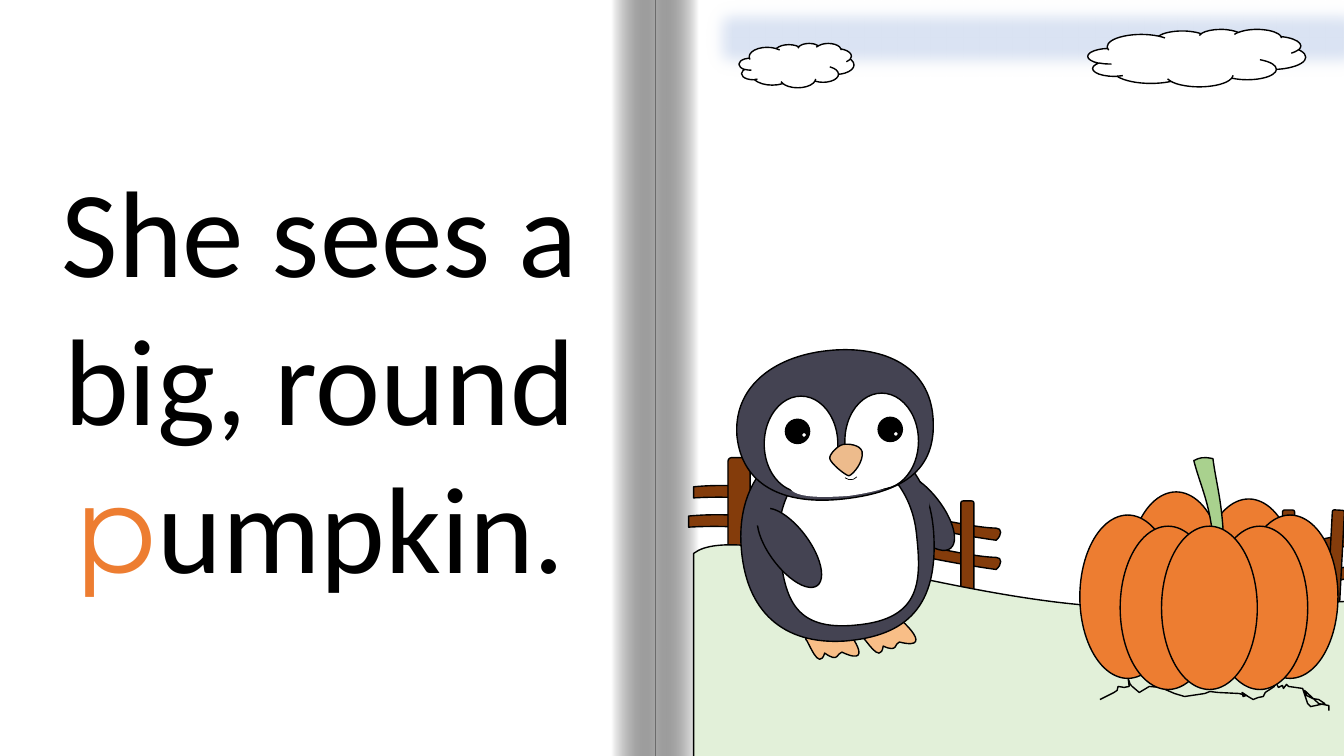
from lxml.etree import SubElement
from pptx import Presentation
from pptx.dml.color import RGBColor
from pptx.enum.shapes import MSO_SHAPE
from pptx.enum.text import MSO_ANCHOR, MSO_AUTO_SIZE, PP_ALIGN
from pptx.oxml.ns import qn
from pptx.util import Inches, Pt

BLACK, WHITE, SKY = "000000", "FFFFFF", "DAE3F3"
WOOD, GRASS, ORANGE, STEM = "843C0B", "E2F0D9", "ED7D31", "A9D18E"
FEATHER, FOOT, BEAK = "444352", "F8BE87", "EDBB8C"
RECT, POST, OVAL = MSO_SHAPE.RECTANGLE, MSO_SHAPE.ROUNDED_RECTANGLE, MSO_SHAPE.OVAL
ARC, CLOUD = MSO_SHAPE.ARC, MSO_SHAPE.CLOUD

SENTENCE = [("She sees a big, round ", "Calibri", BLACK),
            ("p", "Montserrat", ORANGE),
            ("umpkin.", "Calibri", BLACK)]

# Outlines in inches: a start point, then line ends (2 numbers) or curves (6 numbers)
RIGHT_RAIL = [(12.42, 5.5), (13.9, 5.17, 15.45, 4.83, 17, 5.27), (16.98, 5.37),
              (14.73, 4.91, 13.56, 5.44, 12.43, 5.59),
              (12.4, 5.57, 12.39, 5.53, 12.42, 5.5)]
LEFT_RAILS = [
    [(6.88, 4.83), (7.84, 4.73, 9.38, 5.23, 9.88, 5.24),
     (9.94, 5.24, 9.94, 5.31, 9.88, 5.36), (8.87, 5.22, 7.91, 4.88, 6.88, 4.94)],
    [(6.83, 5.12), (7.82, 5.02, 9.37, 5.52, 9.88, 5.53),
     (9.94, 5.53, 9.94, 5.6, 9.88, 5.65), (8.86, 5.51, 7.88, 5.17, 6.83, 5.23)]]
HILL = [(6.88, 5.49), (7.31, 5.15, 9.31, 5.93, 11, 6.02),
        (12.69, 6.1, 15.96, 5.68, 17.03, 6.02), (16.98, 9.08), (6.88, 9.08)]
ROOTS = [(10.91, 6.94), (11.05, 6.87), (11.08, 6.85), (11.09, 6.81), (11.15, 6.82),
         (11.2, 6.81), (11.19, 6.73), (11.21, 6.79), (11.23, 6.81), (11.3, 6.87),
         (11.4, 6.81), (11.51, 6.82), (11.65, 6.88), (11.75, 6.91), (11.95, 6.88),
         (12, 6.86), (12.08, 6.87), (12.29, 6.88), (12.36, 6.9), (12.33, 6.91),
         (12.32, 6.87), (12.38, 6.91), (12.43, 6.94), (12.48, 6.92), (12.53, 6.91),
         (12.55, 6.87), (12.64, 6.81), (12.65, 6.76), (12.68, 6.82), (12.72, 6.8),
         (12.73, 6.83), (12.76, 6.79), (12.78, 6.81), (12.92, 6.83), (12.97, 6.98),
         (13, 7.01), (13.14, 6.98), (13.08, 6.94), (13.02, 6.93), (12.96, 6.9),
         (12.94, 6.85), (13.08, 6.98), (13.18, 7), (13.18, 7.05)]
STALK = [(11.84, 4.57), (11.9, 4.54, 11.93, 4.53, 12.03, 4.55),
         (12.06, 4.78, 12.11, 4.94, 12.13, 5.25), (12.02, 5.25),
         (11.98, 4.95, 11.9, 4.8, 11.84, 4.57)]
LEFT_FOOT = [(8.32, 6.18), (8.14, 6.11), (7.99, 6.34),
             (8.02, 6.36, 8.12, 6.67, 8.18, 6.48), (8.32, 6.58, 8.3, 6.48, 8.35, 6.47),
             (8.73, 6.65, 8.36, 6.17, 8.32, 6.18)]
RIGHT_FOOT = [(8.83, 6.08), (8.64, 6.05), (8.54, 6.31),
              (8.58, 6.32, 8.73, 6.61, 8.76, 6.41), (8.91, 6.48, 8.87, 6.38, 8.92, 6.37),
              (9.32, 6.47, 8.87, 6.07, 8.83, 6.08)]
BODY = [(7.35, 5.41), (7.31, 4.76, 7.71, 4.37, 8.23, 4.33),
        (8.76, 4.29, 9.21, 4.59, 9.26, 5.28), (9.31, 6.02, 8.99, 6.31, 8.38, 6.36),
        (7.77, 6.4, 7.39, 6.07, 7.35, 5.41)]
BELLY = [(7.73, 5.43), (7.68, 4.96, 7.95, 4.55, 8.32, 4.51),
         (8.7, 4.48, 9.04, 4.82, 9.09, 5.29), (9.14, 5.75, 9.15, 6.14, 8.5, 6.2),
         (7.85, 6.27, 7.78, 5.9, 7.73, 5.43)]
HEAD = [(7.31, 4.33), (7.27, 3.85, 7.66, 3.54, 8.2, 3.48),
        (8.73, 3.42, 9.19, 3.61, 9.25, 4.1), (9.31, 4.64, 8.99, 4.88, 8.37, 4.95),
        (7.75, 5.02, 7.36, 4.8, 7.31, 4.33)]
CHIN = [(8.37, 4.46), (8.71, 4.42, 8.99, 4.5, 9, 4.62),
        (9.01, 4.75, 8.9, 4.85, 8.42, 4.92), (7.88, 4.96, 7.81, 4.88, 7.8, 4.75),
        (7.78, 4.63, 8.04, 4.49, 8.37, 4.46)]
BILL = [(8.23, 4.55), (8.22, 4.51, 8.31, 4.42, 8.36, 4.41),
        (8.41, 4.4, 8.53, 4.41, 8.55, 4.48), (8.57, 4.58, 8.46, 4.71, 8.42, 4.72),
        (8.39, 4.72, 8.24, 4.6, 8.23, 4.55)]

RIGHT_POSTS = [(12.72, 5.06, 0.12, 0.96, 0), (13.19, 5.06, 0.12, 0.95, 3)]
LEFT_POSTS = [(7.22, 4.54, 0.22, 0.94), (7.83, 4.57, 0.13, 0.94), (8.43, 4.71, 0.16, 0.94),
              (8.98, 4.82, 0.13, 0.94), (9.53, 4.97, 0.13, 0.93)]
BACK_RIBS = [(11.19, 4.88), (11.91, 4.95)]
FRONT_RIBS = [(10.71, 5.11), (12.32, 5.11), (11.11, 5.22), (12.02, 5.22), (11.52, 5.22)]
# Eye whites, then each pupil with its glint
EYES = [(8.38, 3.9, 0.73, 0.95, WHITE), (7.58, 3.93, 0.73, 0.95, WHITE),
        (8.71, 4.14, 0.24, 0.24, BLACK), (8.86, 4.28, 0.05, 0.05, WHITE),
        (7.79, 4.16, 0.24, 0.24, BLACK), (7.95, 4.29, 0.05, 0.05, WHITE)]
CLOUDS = [(7.33, 0.43, 1.14, 0.44), (10.79, 0.29, 2.16, 0.57)]


def color(hex_value):
    return RGBColor.from_string(hex_value)


def paint(s, fill, line, width=1):
    s.shadow.inherit = False
    if fill:
        s.fill.solid()
        s.fill.fore_color.rgb = color(fill)
    else:
        s.fill.background()
    if line:
        s.line.color.rgb = color(line)
        s.line.width = Pt(width)
    else:
        s.line.fill.background()
    return s


def preset(parent, kind, x, y, w, h, fill, line=BLACK, rot=0, width=1):
    s = parent.shapes.add_shape(kind, Inches(x), Inches(y), Inches(w), Inches(h))
    s.rotation = rot
    return paint(s, fill, line, width)


def outline(parent, parts, fill, line=BLACK, closed=True, dx=0, dy=0):
    parts = [[Inches(v + (dy if i % 2 else dx)) for i, v in enumerate(part)] for part in parts]
    builder = parent.shapes.build_freeform(*parts[0])
    builder.add_line_segments([part[-2:] for part in parts[1:]], close=closed)
    s = builder.convert_to_shape()
    # Turn the segments that have control points into curves
    segments = list(s._element.spPr.iter(qn("a:lnTo")))
    for segment, part in zip(segments, parts[1:]):
        if len(part) == 6:
            curve = SubElement(segment.getparent(), qn("a:cubicBezTo"))
            for x, y in zip(part[::2], part[1::2]):
                pt = SubElement(curve, qn("a:pt"))
                pt.set("x", str(x - s.left))
                pt.set("y", str(y - s.top))
            segment.getparent().replace(segment, curve)
    return paint(s, fill, line)


prs = Presentation()
prs.slide_width, prs.slide_height = Inches(13.33), Inches(7.5)
slide = prs.slides.add_slide(prs.slide_layouts[5])
slide.background.fill.solid()
slide.background.fill.fore_color.rgb = color(BLACK)

# Open book: white pages and the shaded fold
book = slide.shapes.add_group_shape()
preset(book, RECT, -0.01, 0, 13.47, 7.5, WHITE, None)
for x, angle in [(6.5, 180), (6.07, 0)]:
    fold = preset(book, RECT, x, 0, 0.43, 7.5, WHITE, None)
    fold.fill.gradient()
    fold.fill.gradient_angle = angle
    for stop, shade in zip(fold.fill.gradient_stops, (WHITE, BLACK)):
        stop.color.rgb = color(shade)
    dark = fold.fill._xPr.findall(".//" + qn("a:srgbClr"))[-1]
    SubElement(dark, qn("a:alpha")).set("val", "34000")

# Sentence on the left page, above the white page
title = slide.shapes.title
title.left, title.top, title.width, title.height = map(Inches, (0, 1.48, 6.34, 4.54))
slide.shapes._spTree.append(title._element)
tf = title.text_frame
tf.word_wrap, tf.auto_size, tf.vertical_anchor = True, MSO_AUTO_SIZE.NONE, MSO_ANCHOR.TOP
p = tf.paragraphs[0]
p.alignment, p.line_spacing, p.space_before = PP_ALIGN.CENTER, 1.0, Pt(0)
for text, font, shade in SENTENCE:
    r = p.add_run()
    r.text = text
    r.font.name, r.font.size, r.font.color.rgb = font, Pt(88), color(shade)

# Fence, hill and roots
field = slide.shapes.add_group_shape()
for dx, dy in [(0, 0), (0.02, 0.32)]:
    outline(field, RIGHT_RAIL, WOOD, dx=dx, dy=dy)
for *box, rot in RIGHT_POSTS:
    preset(field, POST, *box, WOOD, rot=rot)
for rail in LEFT_RAILS:
    outline(field, rail, WOOD)
for box in LEFT_POSTS:
    preset(field, POST, *box, WOOD)
outline(field, HILL, GRASS)
outline(field, ROOTS, None, closed=False)

# Pumpkin
pumpkin = slide.shapes.add_group_shape()
for x, y in BACK_RIBS:
    preset(pumpkin, OVAL, x, y, 0.95, 1.62, ORANGE)
outline(pumpkin, STALK, STEM)
for x, y in FRONT_RIBS:
    preset(pumpkin, OVAL, x, y, 0.95, 1.62, ORANGE)

# Penguin
penguin = slide.shapes.add_group_shape()
preset(penguin, OVAL, 8.94, 4.61, 0.4, 0.93, FEATHER, rot=321.8)
for parts, fill in [(LEFT_FOOT, FOOT), (RIGHT_FOOT, FOOT), (BODY, FEATHER), (BELLY, WHITE)]:
    outline(penguin, parts, fill)
preset(penguin, OVAL, 9.06, 4.78, 0.15, 0.29, FEATHER, None, rot=339.9)
outline(penguin, HEAD, FEATHER)
for eye_part in EYES:
    preset(penguin, OVAL, *eye_part)
outline(penguin, CHIN, WHITE, None)
outline(penguin, BILL, BEAK)
preset(penguin, OVAL, 7.63, 4.97, 0.4, 0.93, FEATHER, rot=323.6)
preset(penguin, OVAL, 7.48, 4.93, 0.15, 0.29, FEATHER, None, rot=17.7)
preset(slide, ARC, 8.35, 4.59, 0.17, 0.17, None, rot=130.7, width=0.5)

# Soft band of sky and clouds
sky = preset(slide, RECT, 6.96, -0.05, 6.67, 0.85, SKY, SKY)
effects = sky._element.spPr.find(qn("a:effectLst"))
SubElement(effects, qn("a:softEdge")).set("rad", str(Pt(12.5)))
for box in CLOUDS:
    preset(slide, CLOUD, *box, WHITE)

prs.save("out.pptx")
